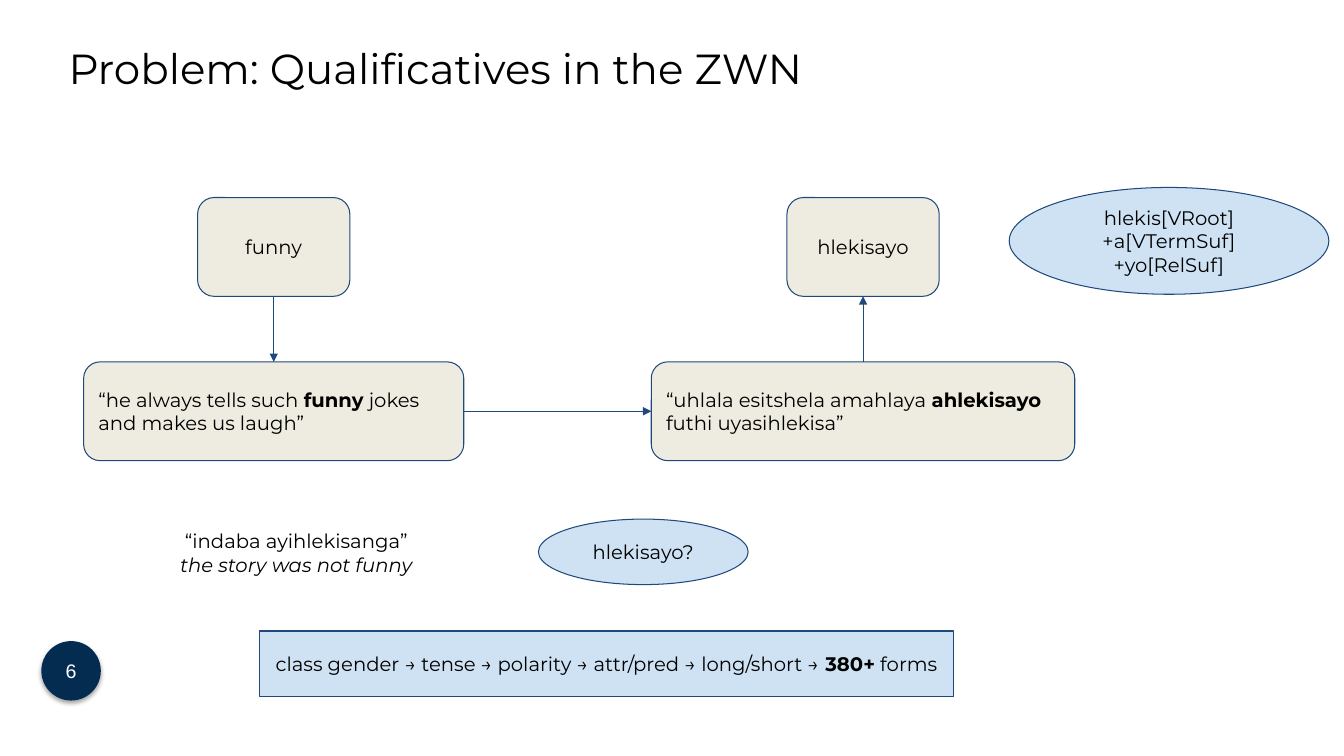
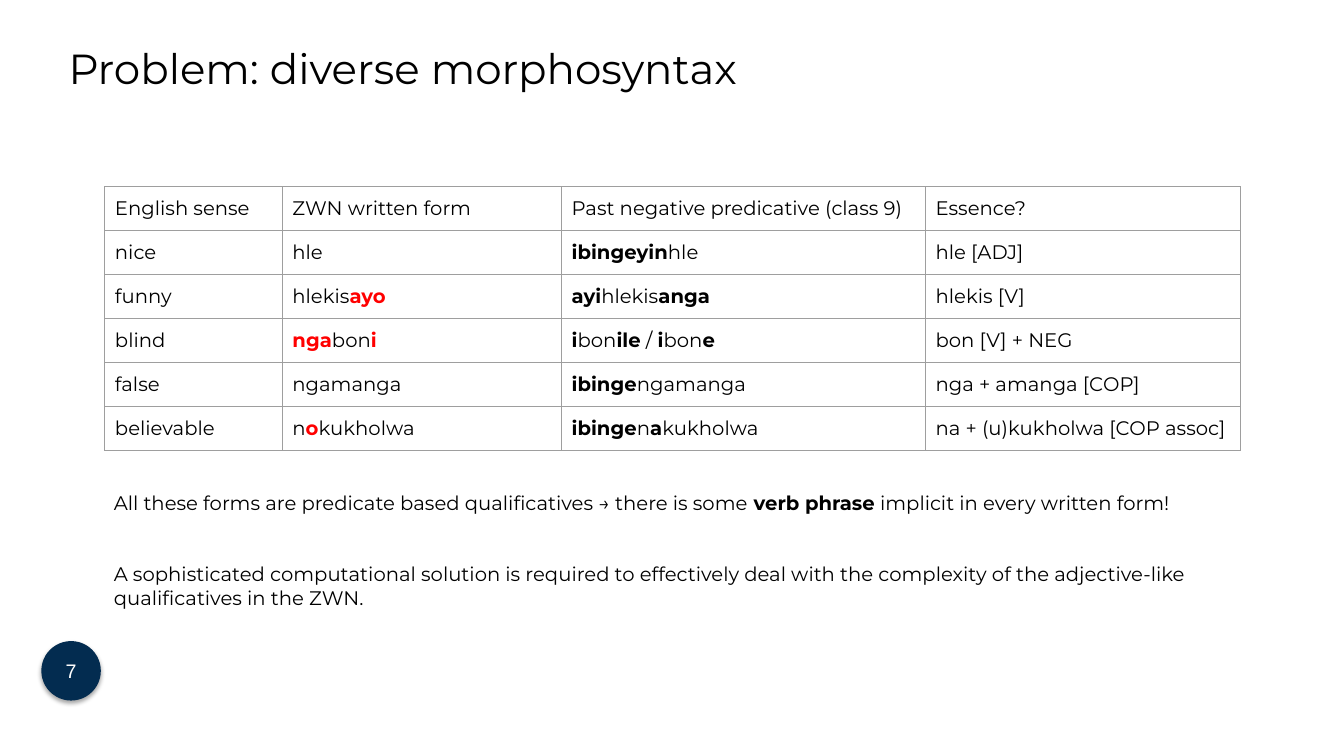
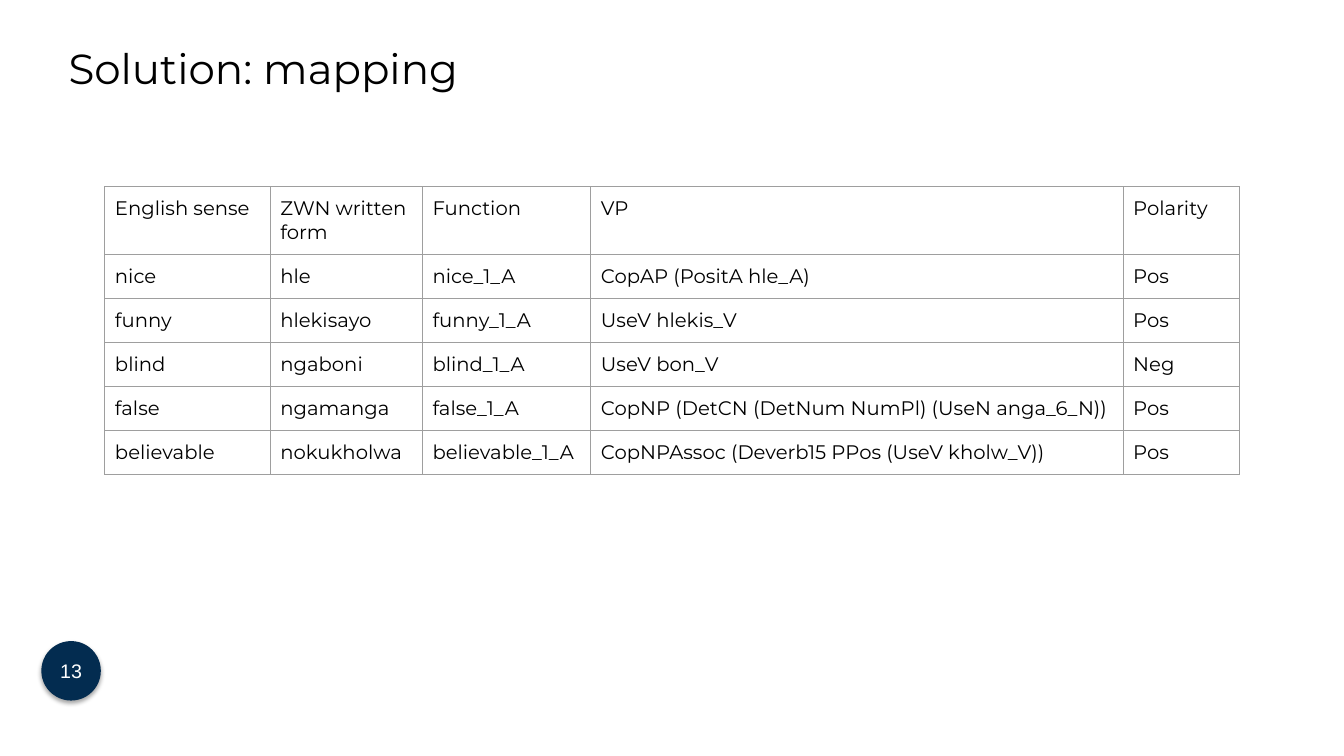
import pptx
import pptx.dml.color
import pptx.enum.shapes
import pptx.enum.text
import pptx.oxml
import pptx.oxml.ns
import pptx.util

RGBColor = pptx.dml.color.RGBColor
Inches = pptx.util.Inches
SHAPE = pptx.enum.shapes.MSO_SHAPE
ALIGN = pptx.enum.text.PP_ALIGN
ANCHOR = pptx.enum.text.MSO_ANCHOR

BLACK = RGBColor(0x00, 0x00, 0x00)
WHITE = RGBColor(0xFF, 0xFF, 0xFF)
RED = RGBColor(0xFF, 0x00, 0x00)
NAVY = RGBColor(0x03, 0x2C, 0x50)
OUTLINE = RGBColor(0x1F, 0x49, 0x7D)
SAND = RGBColor(0xEE, 0xEC, 0xE1)
SKY = RGBColor(0xCF, 0xE2, 0xF3)
GRID = RGBColor(0x9E, 0x9E, 0x9E)

TEXT_FONT, BADGE_FONT = "Montserrat", "Arial"
TITLE_SIZE, TEXT_SIZE = 30, 14
LINE_WIDTH = 0.75
BOLD, BOLD_RED, ITALIC = "bold", "bold red", "italic"

# Content: a text is a list of paragraphs, a paragraph a list of runs,
# and a run either a plain string or a (string, style) pair.
QUALIFICATIVES = {
    "title": "Problem: Qualificatives in the ZWN",
    "number": "6",
    "pairs": [
        ("funny",
         ["“he always tells such ", ("funny", BOLD), " jokes and makes us laugh”"]),
        ("hlekisayo",
         ["“uhlala esitshela amahlaya ", ("ahlekisayo", BOLD), " futhi uyasihlekisa”"]),
    ],
    "morphemes": [["hlekis[VRoot]"], ["+a[VTermSuf]"], ["+yo[RelSuf]"]],
    "example": [["“indaba ayihlekisanga”"], [("the story was not funny", ITALIC)]],
    "question": [["hlekisayo?"]],
    "forms": [["class gender → tense → polarity → attr/pred → long/short → ",
               ("380+", BOLD), " forms"]],
}
MORPHOSYNTAX = {
    "title": "Problem: diverse morphosyntax",
    "number": "7",
    "columns": [1.76, 2.77, 3.61, 3.12],
    "rows": [
        [["English sense"], ["ZWN written form"],
         ["Past negative predicative (class 9)"], ["Essence?"]],
        [["nice"], ["hle"], [("ibingeyin", BOLD), "hle"], ["hle [ADJ]"]],
        [["funny"], ["hlekis", ("ayo", BOLD_RED)],
         [("ayi", BOLD), "hlekis", ("anga", BOLD)], ["hlekis [V]"]],
        [["blind"], [("nga", BOLD_RED), "bon", ("i", BOLD_RED)],
         [("i", BOLD), "bon", ("ile", BOLD), " / ", ("i", BOLD), "bon", ("e", BOLD)],
         ["bon [V] + NEG"]],
        [["false"], ["ngamanga"], [("ibinge", BOLD), "ngamanga"],
         ["nga + amanga [COP]"]],
        [["believable"], ["n", ("o", BOLD_RED), "kukholwa"],
         [("ibinge", BOLD), "n", ("a", BOLD), "kukholwa"],
         ["na + (u)kukholwa [COP assoc]"]],
    ],
    "remarks": [
        ["All these forms are predicate based qualificatives → there is some ",
         ("verb phrase", BOLD), " implicit in every written form!"],
        ["A sophisticated computational solution is required to effectively deal with "
         "the complexity of the adjective-like qualificatives in the ZWN."],
    ],
}
MAPPING = {
    "title": "Solution: mapping",
    "number": "13",
    "columns": [1.64, 1.51, 1.67, 5.28, 1.15],
    "rows": [[[text] for text in row] for row in (
        ("English sense", "ZWN written form", "Function", "VP", "Polarity"),
        ("nice", "hle", "nice_1_A", "CopAP (PositA hle_A)", "Pos"),
        ("funny", "hlekisayo", "funny_1_A", "UseV hlekis_V", "Pos"),
        ("blind", "ngaboni", "blind_1_A", "UseV bon_V", "Neg"),
        ("false", "ngamanga", "false_1_A",
         "CopNP (DetCN (DetNum NumPl) (UseN anga_6_N))", "Pos"),
        ("believable", "nokukholwa", "believable_1_A",
         "CopNPAssoc (Deverb15 PPos (UseV kholw_V))", "Pos"),
    )],
}

# Layout, in inches
SLIDE_SIZE = (13.33, 7.5)
TITLE_BOX = (0.58, 0.14, 12, 1.06)
BADGE_BOX = (0.41, 6.36, 0.59, 0.59)
TABLE_LEFT, TABLE_TOP, ROW_HEIGHT = 1.04, 1.85, 0.42
REMARKS_BOX = (1.03, 4.77, 11.25, 1.38)
PADDING = 0.1
WORD_TOP, SENTENCE_TOP, EXAMPLE_TOP = 1.96, 3.59, 5.15
WORD_WIDTH, BOX_HEIGHT, LOW_HEIGHT = 1.51, 0.98, 0.65
SENTENCE_SPANS = [(0.83, 3.77), (6.46, 4.2)]
TOP, LEFT, BOTTOM, RIGHT = range(4)  # connection sites of a rectangle


def add_xml(parent, markup):
    """Append an element written with the a: prefix to a parent."""
    declaration = pptx.oxml.ns.nsdecls("a")
    head, mark, rest = markup.partition(">")
    if head.endswith("/"):
        head, mark = head[:-1], "/>"
    parent.append(pptx.oxml.parse_xml(f"{head} {declaration}{mark}{rest}"))


def write_text(frame, paragraphs, align=ALIGN.LEFT, size=TEXT_SIZE,
               color=BLACK, font=TEXT_FONT, gap=0):
    """Fill a text frame run by run, with a gap in points between paragraphs."""
    for index, runs in enumerate(paragraphs):
        paragraph = frame.add_paragraph() if index else frame.paragraphs[0]
        paragraph.alignment = align
        paragraph.space_before = pptx.util.Pt(gap if index else 0)
        for item in runs:
            text, style = (item, "") if isinstance(item, str) else item
            run = paragraph.add_run()
            run.text = text
            run.font.name = font
            run.font.size = pptx.util.Pt(size)
            run.font.bold = style in (BOLD, BOLD_RED)
            run.font.italic = style == ITALIC
            run.font.color.rgb = RED if style == BOLD_RED else color


def pad(target, across=PADDING, down=PADDING):
    """Set the inner margins of a text frame or table cell."""
    target.margin_left = target.margin_right = Inches(across)
    target.margin_top = target.margin_bottom = Inches(down)


def add_box(slide, kind, box, fill, paragraphs, align=ALIGN.CENTER):
    """Add a filled, outlined shape with vertically centred text."""
    shape = slide.shapes.add_shape(kind, *map(Inches, box))
    shape.shadow.inherit = False
    shape.fill.solid()
    shape.fill.fore_color.rgb = fill
    shape.line.color.rgb = OUTLINE
    shape.line.width = pptx.util.Pt(LINE_WIDTH)
    frame = shape.text_frame
    frame.word_wrap = True
    frame.vertical_anchor = ANCHOR.MIDDLE
    pad(frame)
    write_text(frame, paragraphs, align)
    return shape


def add_text(slide, box, paragraphs, align=ALIGN.LEFT, gap=0):
    """Add a wrapping text box."""
    frame = slide.shapes.add_textbox(*map(Inches, box)).text_frame
    frame.word_wrap = True
    pad(frame)
    write_text(frame, paragraphs, align, gap=gap)


def add_arrow(slide, start, start_site, end, end_site):
    """Join two shapes with an arrow."""
    arrow = slide.shapes.add_connector(
        pptx.enum.shapes.MSO_CONNECTOR.STRAIGHT, 0, 0, 0, 0)
    arrow.begin_connect(start, start_site)
    arrow.end_connect(end, end_site)
    arrow.line.color.rgb = OUTLINE
    arrow.line.width = pptx.util.Pt(LINE_WIDTH)
    add_xml(arrow.line._get_or_add_ln(), '<a:tailEnd type="triangle"/>')
    add_xml(arrow._element.spPr, "<a:effectLst/>")


def add_table(slide, columns, rows):
    """Add a plain table with thin grey borders."""
    graphic = slide.shapes.add_table(
        len(rows), len(columns), Inches(TABLE_LEFT), Inches(TABLE_TOP),
        Inches(sum(columns)), Inches(ROW_HEIGHT * len(rows)))
    table = graphic.table
    table.first_row = table.horz_banding = False
    for column, width in zip(table.columns, columns):
        column.width = Inches(width)
    width = pptx.util.Pt(LINE_WIDTH)
    for table_row, texts in zip(table.rows, rows):
        for cell, runs in zip(table_row.cells, texts):
            pad(cell)
            for side in "LRTB":
                add_xml(cell._tc.get_or_add_tcPr(),
                        f'<a:ln{side} w="{width}"><a:solidFill>'
                        f'<a:srgbClr val="{GRID}"/></a:solidFill></a:ln{side}>')
            cell.fill.background()
            write_text(cell.text_frame, [runs])


def add_badge(slide, number):
    """Add the round slide number with its soft shadow."""
    badge = slide.shapes.add_shape(SHAPE.OVAL, *map(Inches, BADGE_BOX))
    badge.fill.solid()
    badge.fill.fore_color.rgb = NAVY
    badge.line.fill.background()
    badge.shadow.inherit = False
    effects = badge._element.spPr.find(pptx.oxml.ns.qn("a:effectLst"))
    add_xml(effects,
            '<a:outerShdw blurRad="40000" dist="23000" dir="5400000" rotWithShape="0">'
            f'<a:srgbClr val="{BLACK}"><a:alpha val="35000"/></a:srgbClr></a:outerShdw>')
    frame = badge.text_frame
    frame.vertical_anchor = ANCHOR.MIDDLE
    pad(frame, 0.08, 0)
    write_text(frame, [[number]], ALIGN.CENTER, color=WHITE, font=BADGE_FONT)


def add_slide(presentation, layout, content):
    """Add a slide with its number badge and title."""
    slide = presentation.slides.add_slide(layout)
    add_badge(slide, content["number"])
    frame = slide.shapes.title.text_frame
    frame.auto_size = pptx.enum.text.MSO_AUTO_SIZE.NONE
    write_text(frame, [[content["title"]]], size=TITLE_SIZE)
    return slide


def draw_qualificatives(slide, content):
    """Draw the word and sentence pairs, their arrows and the notes around them."""
    words, sentences = [], []
    for (word, sentence), (left, width) in zip(content["pairs"], SENTENCE_SPANS):
        word_left = left + (width - WORD_WIDTH) / 2
        words.append(add_box(slide, SHAPE.ROUNDED_RECTANGLE,
                             (word_left, WORD_TOP, WORD_WIDTH, BOX_HEIGHT),
                             SAND, [[word]]))
        sentences.append(add_box(slide, SHAPE.ROUNDED_RECTANGLE,
                                 (left, SENTENCE_TOP, width, BOX_HEIGHT),
                                 SAND, [sentence], ALIGN.LEFT))
    add_arrow(slide, words[0], BOTTOM, sentences[0], TOP)
    add_arrow(slide, sentences[0], RIGHT, sentences[1], LEFT)
    add_arrow(slide, sentences[1], TOP, words[1], BOTTOM)
    add_text(slide, (1.39, EXAMPLE_TOP, 3.1, LOW_HEIGHT),
             content["example"], ALIGN.CENTER)
    for key, kind, box in (
            ("question", SHAPE.OVAL, (5.34, EXAMPLE_TOP, 2.08, LOW_HEIGHT)),
            ("forms", SHAPE.RECTANGLE, (2.57, 6.26, 6.89, LOW_HEIGHT)),
            ("morphemes", SHAPE.OVAL, (10.01, 1.86, 3.17, 1.06))):
        add_box(slide, kind, box, SKY, content[key])


def main():
    """Build and save the presentation."""
    presentation = pptx.Presentation()
    presentation.slide_width, presentation.slide_height = map(Inches, SLIDE_SIZE)
    layout = presentation.slide_layouts.get_by_name("Title Only")
    title = layout.placeholders[0]
    title.left, title.top, title.width, title.height = map(Inches, TITLE_BOX)

    draw_qualificatives(add_slide(presentation, layout, QUALIFICATIVES), QUALIFICATIVES)
    for content in (MORPHOSYNTAX, MAPPING):
        slide = add_slide(presentation, layout, content)
        add_table(slide, content["columns"], content["rows"])
        if "remarks" in content:
            add_text(slide, REMARKS_BOX, content["remarks"], gap=34)
    presentation.save("out.pptx")


main()
